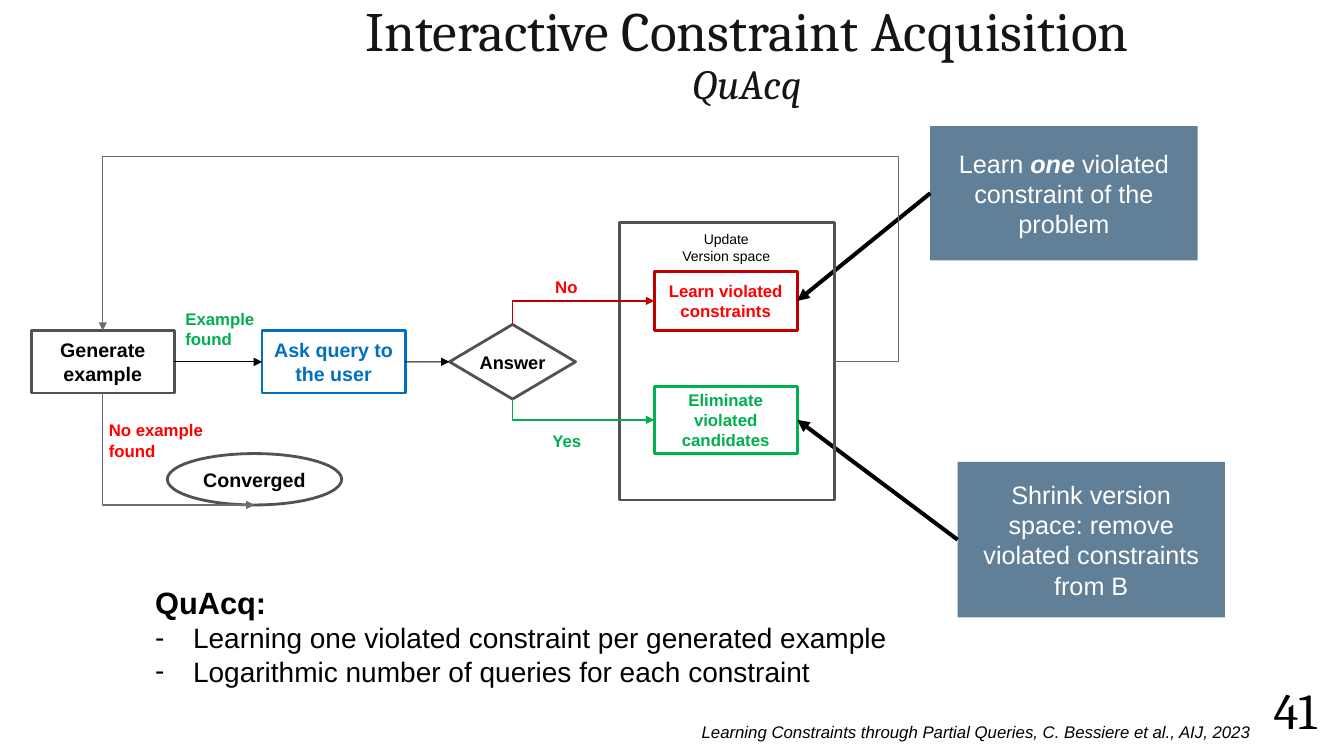
from lxml import etree
from pptx import Presentation
from pptx.dml.color import RGBColor
from pptx.enum import shapes, text
from pptx.oxml import ns
from pptx.util import Pt

COLORS = {
    "black": "000000", "white": "FFFFFF", "title": "171512", "slate": "618097",
    "outline": "525256", "loop": "6C6C72", "blue": "0070C0", "green": "00B050",
    "red": "FF0000", "dark_red": "C00000",
}
SHAPE = shapes.MSO_SHAPE
ALIGN = text.PP_ALIGN
ANCHOR = text.MSO_ANCHOR
TOP, LEFT, BOTTOM, RIGHT = range(4)  # connection sites
OVAL_LEFT = 2


def rgb(name):
    return RGBColor.from_string(COLORS[name])


def add_run(p, words, size, color, bold=False, italic=False, font="Arial"):
    r = p.add_run()
    r.text = words
    r.font.name, r.font.size = font, Pt(size)
    r.font.bold, r.font.italic = bold, italic
    r.font.color.rgb = rgb(color)
    return r


def place(sp, box):
    sp.left, sp.top, sp.width, sp.height = (Pt(v) for v in box)


def add_box(s, kind, box, line=None, fill=None):
    sp = s.shapes.add_shape(kind, *(Pt(v) for v in box))
    sp.shadow.inherit = False
    if fill:
        sp.fill.solid()
        sp.fill.fore_color.rgb = rgb(fill)
    else:
        sp.fill.background()
    if line:
        sp.line.color.rgb = rgb(line)
        sp.line.width = Pt(2)
    else:
        sp.line.fill.background()
    return sp


def add_step(s, kind, box, words, size, color, line, wrap=True):
    sp = add_box(s, kind, box, line)
    tf = sp.text_frame
    tf.word_wrap, tf.vertical_anchor = wrap, ANCHOR.MIDDLE
    p = tf.paragraphs[0]
    p.alignment = ALIGN.CENTER
    add_run(p, words, size, color, bold=True)
    return sp


def add_callout(s, box, parts):
    """A filled box; parts are (words, emphasised) pairs."""
    sp = add_box(s, SHAPE.RECTANGLE, box, fill="slate")
    tf = sp.text_frame
    tf.word_wrap, tf.vertical_anchor = True, ANCHOR.MIDDLE
    tf.margin_left = tf.margin_right = Pt(16)
    p = tf.paragraphs[0]
    p.alignment = ALIGN.CENTER
    for words, strong in parts:
        add_run(p, words, 18, "white", strong, strong)
    return sp


def add_label(s, box, lines, size, color, align=ALIGN.LEFT, wrap=False, **style):
    tf = s.shapes.add_textbox(*(Pt(v) for v in box)).text_frame
    tf.word_wrap = wrap
    for i, words in enumerate(lines):
        p = tf.add_paragraph() if i else tf.paragraphs[0]
        p.alignment = align
        add_run(p, words, size, color, **style)
    return tf


def add_arrow(s, start, end, color, width, kind=shapes.MSO_CONNECTOR.STRAIGHT):
    """An arrow between two (shape, connection site) pairs."""
    c = s.shapes.add_connector(kind, 0, 0, 0, 0)
    c.begin_connect(*start)
    c.end_connect(*end)
    c.line.color.rgb = rgb(color)
    c.line.width = Pt(width)
    etree.SubElement(c.line._get_or_add_ln(), ns.qn("a:tailEnd"), type="triangle")
    etree.SubElement(c._element.spPr, ns.qn("a:effectLst"))
    return c


def add_elbow(s, start, end, color, width, preset, turn=0, flip="", adjust=()):
    c = add_arrow(s, start, end, color, width, shapes.MSO_CONNECTOR.ELBOW)
    if turn:  # a quarter turn swaps width and height about the centre
        w, h = c.width, c.height
        c.left, c.top = c.left + (w - h) // 2, c.top + (h - w) // 2
        c.width, c.height = h, w
    spPr = c._element.spPr
    xfrm = spPr.find(ns.qn("a:xfrm"))
    xfrm.set("rot", str(turn * 60000))
    xfrm.set("flipH", str(int("h" in flip)))
    xfrm.set("flipV", str(int("v" in flip)))
    geom = spPr.find(ns.qn("a:prstGeom"))
    geom.set("prst", preset)
    for i, value in enumerate(adjust, 1):
        etree.SubElement(geom.find(ns.qn("a:avLst")), ns.qn("a:gd"),
                         name=f"adj{i}", fmla=f"val {value}")


def set_title(sp):
    place(sp, (177.8, 0.7, 711.4, 80.6))
    tf = sp.text_frame
    tf.auto_size, tf.vertical_anchor = text.MSO_AUTO_SIZE.NONE, ANCHOR.BOTTOM
    p = tf.paragraphs[0]
    p.alignment, p.line_spacing = ALIGN.CENTER, 0.9
    add_run(p, "Interactive Constraint Acquisition", 39.6, "title", font="Cambria")
    p.add_line_break()
    etree.SubElement(p._p[-1], ns.qn("a:rPr"), sz="3960")
    add_run(p, "QuAcq", 29.7, "title", italic=True, font="Cambria")


def set_list(sp, heading, items):
    place(sp, (103.7, 413.3, 546.5, 82.1))
    tf = sp.text_frame
    tf.auto_size = text.MSO_AUTO_SIZE.NONE
    for i, words in enumerate([heading, *items]):
        p = tf.add_paragraph() if i else tf.paragraphs[0]
        pPr = p._p.get_or_add_pPr()
        indent = Pt(27) if i else 0
        pPr.set("marL", str(indent))
        pPr.set("indent", str(-indent))
        p.space_before = Pt(0)
        if i:
            etree.SubElement(pPr, ns.qn("a:buChar"), char="-")
        else:
            etree.SubElement(pPr, ns.qn("a:buNone"))
        add_run(p, words, 20 if i else 22, "black", bold=not i)


def main():
    prs = Presentation()
    prs.slide_width, prs.slide_height = Pt(960), Pt(540)
    s = prs.slides.add_slide(prs.slide_layouts[1])

    # Title and summary
    set_title(s.shapes.title)
    set_list(s.placeholders[1], "QuAcq:", [
        "Learning one violated constraint per generated example",
        "Logarithmic number of queries for each constraint"])

    # Callouts
    shrink = add_callout(s, (684, 330, 191, 111), [
        ("Shrink version space: remove violated constraints from B", False)])
    one = add_callout(s, (664.5, 90, 191, 96), [
        ("Learn ", False), ("one", True),
        (" violated constraint of the problem", False)])

    # Steps of the loop
    rect = SHAPE.RECTANGLE
    generate = add_step(s, rect, (22.3, 236.2, 102.2, 44.6),
                        "Generate example", 14, "black", "outline")
    ask = add_step(s, rect, (187.2, 236.2, 102.2, 44.6),
                   "Ask query to the user", 14, "blue", "blue")
    answer = add_step(s, SHAPE.DIAMOND, (321.1, 231.8, 90, 53.3),
                      "Answer", 13, "black", "outline", wrap=False)
    learn = add_step(s, rect, (467.3, 193.7, 102.2, 42.5),
                     "Learn violated constraints", 12, "red", "dark_red")
    eliminate = add_step(s, rect, (467.3, 275.8, 102.2, 48.2),
                         "Eliminate violated candidates", 12, "green", "green")
    converged = add_step(s, SHAPE.OVAL, (119.5, 324, 124.6, 36.7),
                         "Converged", 14, "black", "outline", wrap=False)

    # Straight arrows
    add_arrow(s, (shrink, LEFT), (eliminate, RIGHT), "black", 2.89)
    add_arrow(s, (one, LEFT), (learn, RIGHT), "black", 2.89)
    add_arrow(s, (generate, RIGHT), (ask, LEFT), "black", 0.75)
    add_arrow(s, (ask, RIGHT), (answer, LEFT), "black", 0.75)

    # Version space frame and bent arrows
    frame = add_box(s, rect, (442.8, 159.1, 153.4, 198), "outline")
    add_elbow(s, (answer, TOP), (learn, LEFT), "dark_red", 1.25,
              "bentConnector2", 90, "hv")
    add_elbow(s, (answer, BOTTOM), (eliminate, LEFT), "green", 1.25,
              "bentConnector2", 270, "h")
    add_elbow(s, (frame, RIGHT), (generate, TOP), "loop", 0.75,
              "bentConnector4", 0, "hv", (-8700, 668600))
    add_elbow(s, (generate, BOTTOM), (converged, OVAL_LEFT), "loop", 0.75,
              "bentConnector2", 270, "h")

    # Labels
    add_label(s, (479.5, 161.3, 78.5, 31.7), ["Update", "Version space"],
              10, "black", ALIGN.CENTER)
    for box, lines, color in [
        ((389.5, 194.4, 31, 21.6), ["No"], "red"),
        ((387.4, 303.8, 36, 21.6), ["Yes"], "green"),
        ((70.6, 296.6, 82.8, 36), ["No example", "found"], "red"),
        ((125.3, 216.7, 64.1, 36), ["Example", "found"], "green"),
    ]:
        add_label(s, box, lines, 12, color, bold=True)

    # Citation and page number
    add_label(s, (221, 511.9, 679.7, 21.6),
              ["Learning Constraints through Partial Queries, "
               "C. Bessiere et al., AIJ, 2023"],
              12, "black", ALIGN.RIGHT, wrap=True, italic=True)
    tf = add_label(s, (889.2, 486, 72, 46.8), ["41"], 36, "black",
                   ALIGN.CENTER, wrap=True, font="Cambria")
    tf.vertical_anchor = ANCHOR.MIDDLE
    tf.margin_left = tf.margin_right = Pt(3.6)
    tf.paragraphs[0].line_spacing = 0.9

    prs.save("out.pptx")


if __name__ == "__main__":
    main()
